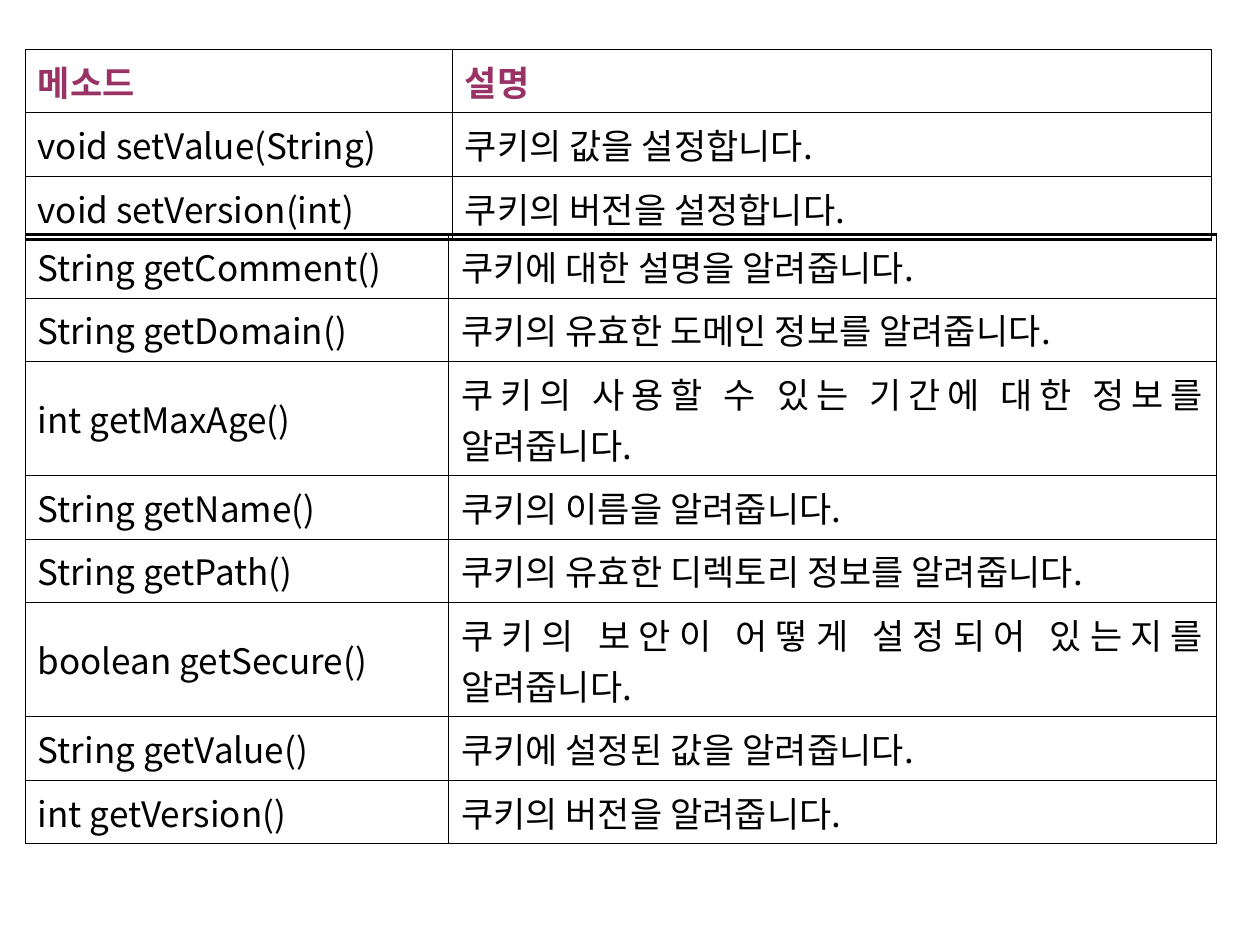
from lxml.etree import SubElement
from pptx import Presentation
from pptx.dml.color import RGBColor
from pptx.enum.text import MSO_ANCHOR as ANCHOR, PP_ALIGN as ALIGN
from pptx.oxml.ns import qn
from pptx.util import Inches, Pt

BLACK = RGBColor(0x00, 0x00, 0x00)
PLUM = RGBColor(0x99, 0x33, 0x66)
THIN, THICK = 0.28, 2.26

SETTERS = [
    ("메소드", "설명"),
    ("void setValue(String)", "쿠키의 값을 설정합니다. "),
    ("void setVersion(int)", "쿠키의 버전을 설정합니다."),
]
GETTERS = [
    ("String getComment()", "쿠키에 대한 설명을 알려줍니다."),
    ("String getDomain() ", "쿠키의 유효한 도메인 정보를 알려줍니다."),
    ("int getMaxAge() ", "쿠키의 사용할 수 있는 기간에 대한 정보를 알려줍니다."),
    ("String getName()", "쿠키의 이름을 알려줍니다."),
    ("String getPath() ", "쿠키의 유효한 디렉토리 정보를 알려줍니다."),
    ("boolean getSecure() ", "쿠키의 보안이 어떻게 설정되어 있는지를 알려줍니다."),
    ("String getValue() ", "쿠키에 설정된 값을 알려줍니다."),
    ("int getVersion() ", "쿠키의 버전을 알려줍니다."),
]


class MethodSlide:
    """Draws bordered method tables on one slide in a shared style."""

    font = "Noto Sans CJK KR"
    size = Pt(20)
    row_height = Inches(0.2)

    def __init__(self, prs):
        self.s = prs.slides.add_slide(prs.slide_layouts[6])

    def table(self, left, top, widths, rows, header=False, thick_top=False, thick_bottom=False):
        frame = self.s.shapes.add_table(
            len(rows), len(widths), Inches(left), Inches(top),
            Inches(sum(widths)), self.row_height * len(rows))
        tbl = frame.table
        tbl.first_row = tbl.horz_banding = False
        for column, width in zip(tbl.columns, widths):
            column.width = Inches(width)
        last = len(rows) - 1
        for i, texts in enumerate(rows):
            head = header and i == 0
            borders = {
                "L": THIN, "R": THIN,
                "T": THICK if thick_top and i == 0 else THIN,
                "B": THICK if thick_bottom and i == last else THIN,
            }
            for j, text in enumerate(texts):
                cell = tbl.cell(i, j)
                self.text(cell, text, PLUM if head else BLACK, head)
                self.borders(cell, borders)
                cell.fill.background()

    def text(self, cell, text, color, bold):
        cell.vertical_anchor = ANCHOR.MIDDLE
        p = cell.text_frame.paragraphs[0]
        p.alignment = ALIGN.JUSTIFY
        r = p.add_run()
        r.text = text
        r.font.size = self.size
        r.font.bold = bold
        r.font.color.rgb = color
        r.font.name = self.font
        SubElement(r.font._element, qn("a:ea"), typeface=self.font)

    def borders(self, cell, widths):
        tc_pr = cell._tc.get_or_add_tcPr()
        for side, width in widths.items():
            ln = SubElement(tc_pr, qn(f"a:ln{side}"), w=str(int(Pt(width))))
            fill = SubElement(ln, qn("a:solidFill"))
            SubElement(fill, qn("a:srgbClr"), val=str(BLACK))


prs = Presentation()
prs.slide_width, prs.slide_height = Inches(10), Inches(7.5)
slide = MethodSlide(prs)
slide.table(0.2, 0.39, (3.39, 6.02), SETTERS, header=True, thick_bottom=True)
slide.table(0.2, 1.86, (3.36, 6.09), GETTERS, thick_top=True)
prs.save("out.pptx")
